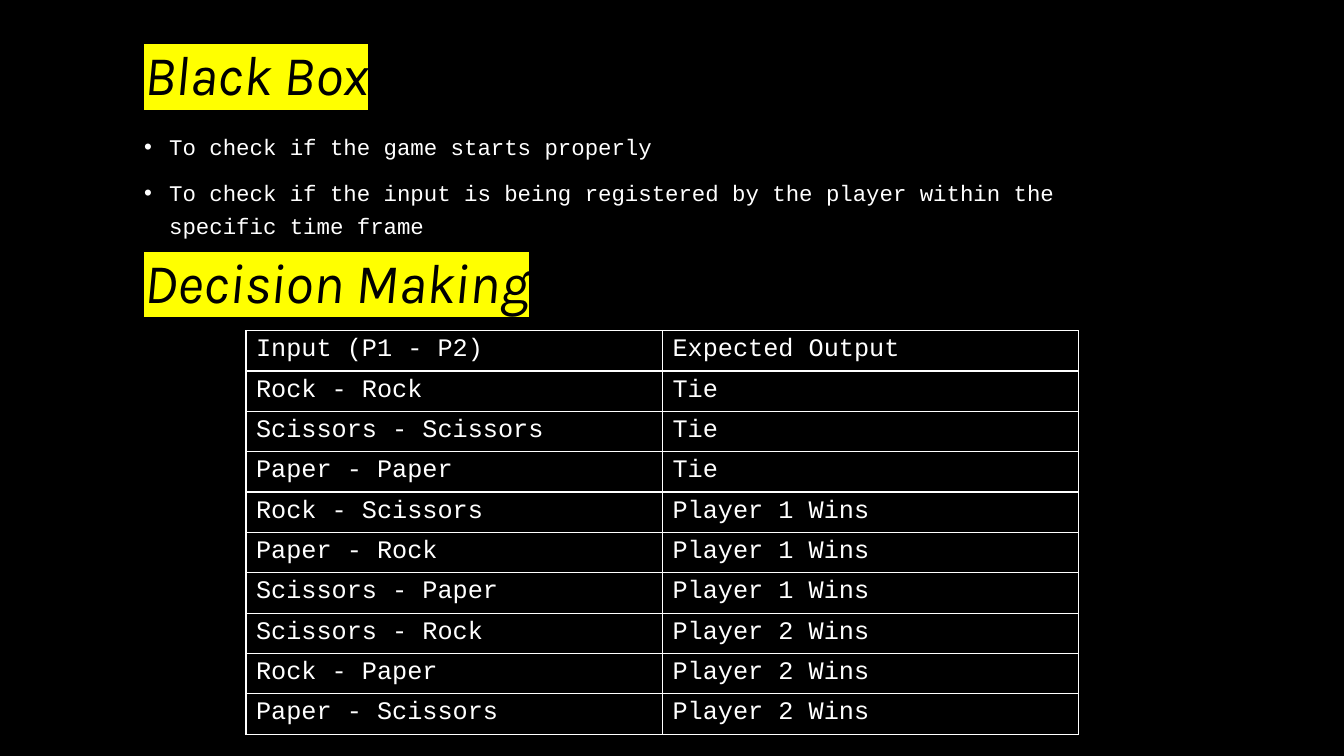
from dataclasses import dataclass

from lxml import etree
from pptx import Presentation
from pptx.dml.color import RGBColor
from pptx.enum.text import MSO_ANCHOR
from pptx.oxml.ns import qn
from pptx.util import Inches, Pt

BOTTOM = MSO_ANCHOR.BOTTOM
TOP = MSO_ANCHOR.TOP


@dataclass(frozen=True)
class Theme:
    """Colours, fonts and type sizes of the slide."""
    background: str = "000000"
    text: str = "FFFFFF"
    heading: str = "000000"
    highlight: str = "FFFF00"
    heading_font: str = "Karla"
    body_font: str = "Courier New"
    heading_size: int = 40
    bullet_size: int = 16
    table_size: int = 18
    border_width: int = 1
    line_spacing: float = 1.2


THEME = Theme()
HEADING_FORMAT = {"name": THEME.heading_font, "size": Pt(THEME.heading_size), "italic": True}
BULLET_FORMAT = {"name": THEME.body_font, "size": Pt(THEME.bullet_size)}
TABLE_FORMAT = {"name": THEME.body_font, "size": Pt(THEME.table_size)}

CHECKS = [
    "To check if the game starts properly",
    "To check if the input is being registered by the player within the specific time frame",
]
OUTCOMES = [
    ("Input (P1 - P2)", "Expected Output"),
    ("Rock - Rock", "Tie"),
    ("Scissors - Scissors", "Tie"),
    ("Paper - Paper", "Tie"),
    ("Rock - Scissors", "Player 1 Wins"),
    ("Paper - Rock", "Player 1 Wins"),
    ("Scissors - Paper", "Player 1 Wins"),
    ("Scissors - Rock", "Player 2 Wins"),
    ("Rock - Paper", "Player 2 Wins"),
    ("Paper - Scissors", "Player 2 Wins"),
]


def add_span(para, text, color, font_format):
    """Add one formatted run to a paragraph and return it."""
    span = para.add_run()
    span.text = text
    span.font.color.rgb = RGBColor.from_string(color)
    for name, value in font_format.items():
        setattr(span.font, name, value)
    return span


def add_text_frame(page, box, anchor):
    """Add a wrapping text box and return its text frame."""
    frame = page.shapes.add_textbox(*map(Inches, box)).text_frame
    frame.word_wrap = True
    frame.vertical_anchor = anchor
    return frame


def add_heading(page, box, text):
    """Add a highlighted italic heading resting on the bottom of its box."""
    para = add_text_frame(page, box, BOTTOM).paragraphs[0]
    para.line_spacing = THEME.line_spacing
    span = add_span(para, text, THEME.heading, HEADING_FORMAT)
    highlight = etree.Element(qn("a:highlight"))
    etree.SubElement(highlight, qn("a:srgbClr"), val=THEME.highlight)
    span.font._element.find(qn("a:solidFill")).addnext(highlight)


def add_bullets(page, box, items):
    """Add a bulleted list with hanging indents."""
    frame = add_text_frame(page, box, TOP)
    indent = Inches(0.25)
    for index, item in enumerate(items):
        para = frame.add_paragraph() if index else frame.paragraphs[0]
        para.line_spacing = THEME.line_spacing
        para.space_before = Pt(10)
        add_span(para, item, THEME.text, BULLET_FORMAT)
        properties = para._p.get_or_add_pPr()
        properties.set("marL", str(indent))
        properties.set("indent", str(-indent))
        etree.SubElement(properties, qn("a:buFont"), typeface="Arial")
        etree.SubElement(properties, qn("a:buChar"), char="•")


def add_borders(cell):
    """Draw a solid line on all four sides of a table cell."""
    properties = cell._tc.get_or_add_tcPr()
    for index, side in enumerate(("lnL", "lnR", "lnT", "lnB")):
        line = etree.Element(qn(f"a:{side}"), w=str(Pt(THEME.border_width)))
        fill = etree.SubElement(line, qn("a:solidFill"))
        etree.SubElement(fill, qn("a:srgbClr"), val=THEME.text)
        properties.insert(index, line)


def add_outcome_table(page, box, rows):
    """Add the bordered table of inputs and expected outputs."""
    table = page.shapes.add_table(len(rows), len(rows[0]), *map(Inches, box)).table
    table.first_row = False
    table.horz_banding = False
    for row_index, row in enumerate(rows):
        for column_index, text in enumerate(row):
            cell = table.cell(row_index, column_index)
            cell.fill.solid()
            cell.fill.fore_color.rgb = RGBColor.from_string(THEME.background)
            add_borders(cell)
            add_span(cell.text_frame.paragraphs[0], text, THEME.text, TABLE_FORMAT)


def build_testing_slide(deck):
    """Add the slide with the black box checks and the decision table."""
    page = deck.slides.add_slide(deck.slide_layouts[6])
    page.background.fill.solid()
    page.background.fill.fore_color.rgb = RGBColor.from_string(THEME.background)
    left, width = 1.33, 10.38
    add_heading(page, (left, 0.05, width, 1.06), "Black Box")
    add_bullets(page, (left, 1.22, width, 1.39), CHECKS)
    add_outcome_table(page, (2.44, 3.28, 8.26, 0.36 * len(OUTCOMES)), OUTCOMES)
    add_heading(page, (left, 2.11, width, 1.06), "Decision Making")


def main():
    """Build and save the deck."""
    deck = Presentation()
    deck.slide_width = Inches(13.33)
    deck.slide_height = Inches(7.5)
    build_testing_slide(deck)
    deck.save("out.pptx")


if __name__ == "__main__":
    main()
